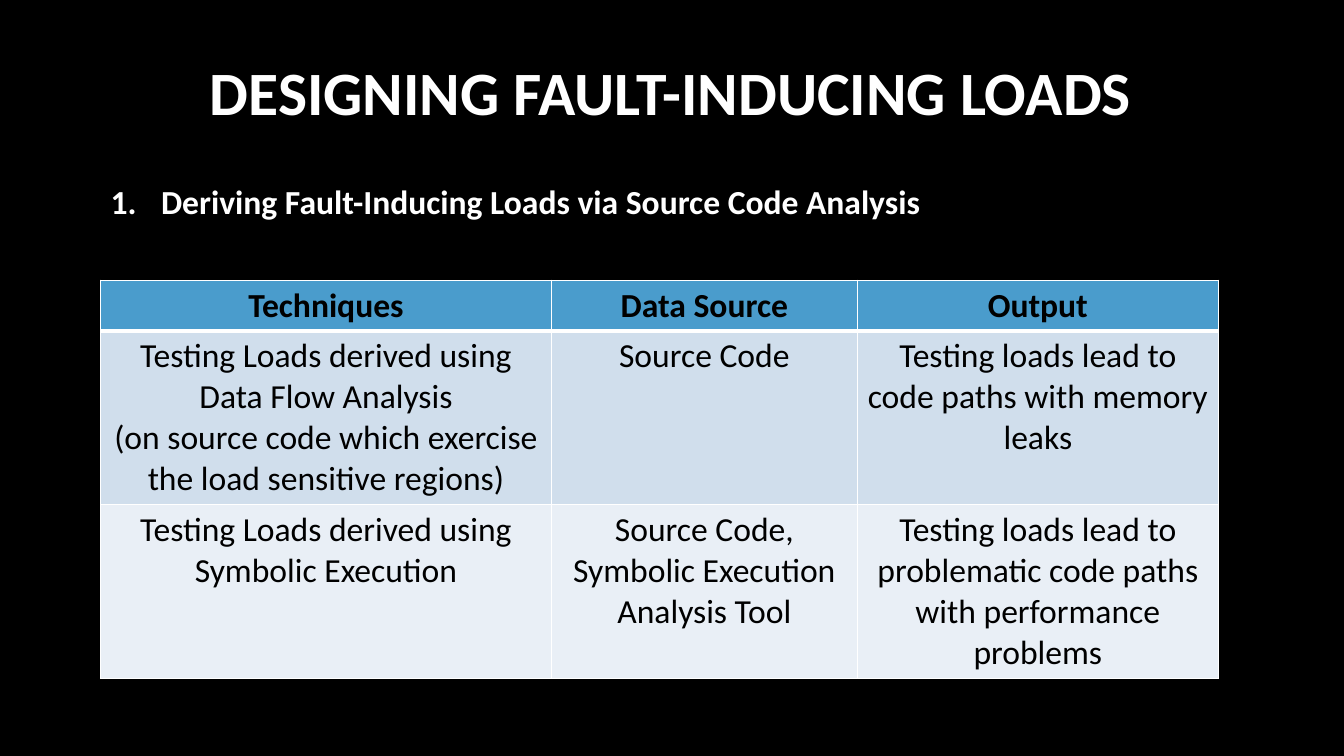
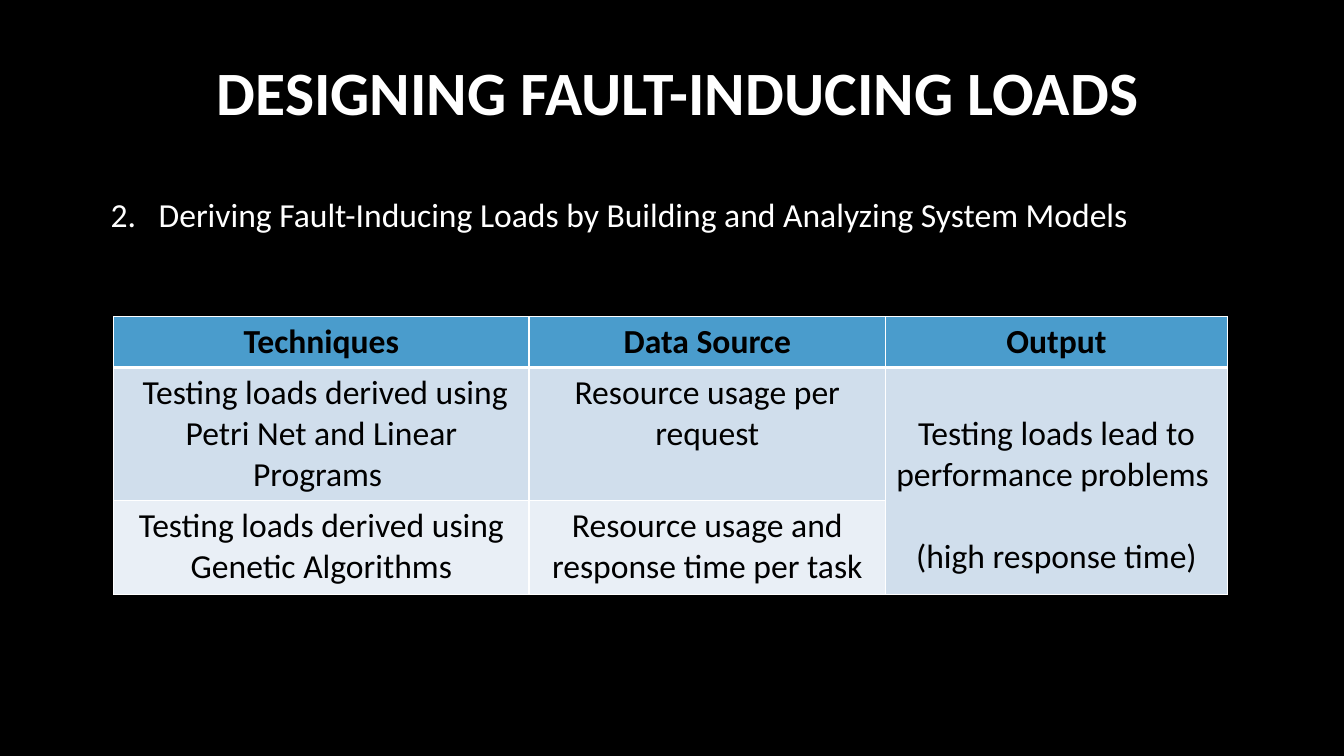
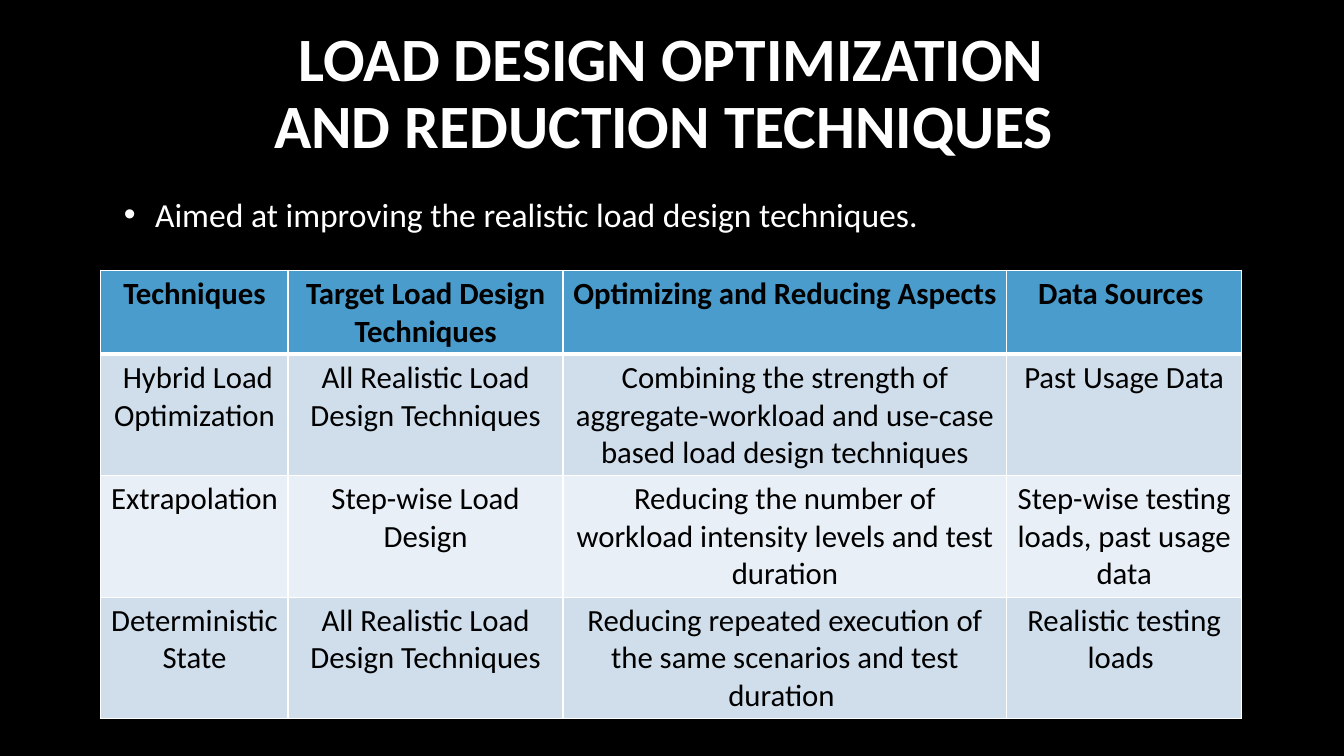
from lxml.etree import SubElement
from pptx import Presentation
from pptx.dml.color import RGBColor
from pptx.enum.text import MSO_ANCHOR, MSO_AUTO_SIZE, PP_ALIGN
from pptx.oxml.ns import qn
from pptx.util import Cm, Pt

HUES = {
    "back": "000000",
    "light": "FFFFFF",
    "dark": "000000",
    "head": "4A9CCC",
    "odd": "D0DEEC",
    "even": "E9EFF6",
}
FONT = "Calibri"


def hue(name):
    return RGBColor.from_string(HUES[name])


def write(para, text, size=24, color="light", bold=False, align=PP_ALIGN.LEFT,
          line=None, before=None):
    para.text = text
    para.alignment = align
    if line:
        para.line_spacing = line
    if before:
        para.space_before = Pt(before)
    for run in para.runs:
        font = run.font
        font.name, font.size, font.bold = FONT, Pt(size), bold
        font.color.rgb = hue(color)


def mark(para, indent, kind, **attrs):
    """Give the paragraph a hanging indent and a bullet or number."""
    props = para._p.get_or_add_pPr()
    props.set("marL", str(Cm(indent)))
    props.set("indent", str(-Cm(indent)))
    if kind == "buChar":
        SubElement(props, qn("a:buFont"), typeface="Arial")
    SubElement(props, qn("a:" + kind), **attrs)


def edge(cell, **widths):
    """Draw light cell borders; widths in points by side: L, R, T, B."""
    props = cell._tc.get_or_add_tcPr()
    for side, width in widths.items():
        line = SubElement(props, qn("a:ln" + side), w=str(Pt(width)))
        fill = SubElement(line, qn("a:solidFill"))
        SubElement(fill, qn("a:srgbClr"), val=HUES["light"])


class Deck:
    def __init__(self):
        self.prs = Presentation()
        self.prs.slide_width, self.prs.slide_height = Cm(33.87), Cm(19.05)
        fill = self.prs.slide_master.background.fill
        fill.solid()
        fill.fore_color.rgb = hue("back")
        self.slide = None

    def start(self, title):
        """Add a slide with its title."""
        self.slide = self.prs.slides.add_slide(self.prs.slide_layouts[5])
        shape = self.slide.shapes.title
        shape.left, shape.top = Cm(2.54), Cm(0.56)
        shape.width, shape.height = Cm(28.75), Cm(3.68)
        frame = shape.text_frame
        frame.word_wrap = True
        frame.auto_size = MSO_AUTO_SIZE.NONE
        frame.vertical_anchor = MSO_ANCHOR.MIDDLE
        write(frame.paragraphs[0], title, size=44, bold=True,
              align=PP_ALIGN.CENTER, line=0.9)

    def lead(self, text, left, top, width, indent, number=None, **style):
        """Add the numbered or bulleted line above the table."""
        box = self.slide.shapes.add_textbox(
            Cm(left), Cm(top), Cm(width), Cm(1.27))
        box.text_frame.word_wrap = True
        para = box.text_frame.paragraphs[0]
        write(para, text, **style)
        if number:
            mark(para, indent, "buAutoNum", type="arabicPeriod",
                 startAt=str(number))
        else:
            mark(para, indent, "buChar", char="•")

    def table(self, left, top, cols, rows, data, size=24):
        frame = self.slide.shapes.add_table(
            len(rows), len(cols), Cm(left), Cm(top),
            Cm(sum(cols)), Cm(sum(rows)))
        grid = frame.table
        grid.horz_banding = grid.first_row = False
        for col, width in zip(grid.columns, cols):
            col.width = Cm(width)
        for row, height in zip(grid.rows, rows):
            row.height = Cm(height)
        for r, texts in enumerate(data):
            for c, text in enumerate(texts):
                self.cell(grid.cell(r, c), r, text, size)
        return grid

    def cell(self, cell, row, text, size):
        edge(cell, L=1, R=1, T=3 if row == 1 else 1, B=1 if row else 3)
        cell.fill.solid()
        band = "odd" if row % 2 else "even"
        cell.fill.fore_color.rgb = hue(band if row else "head")
        frame = cell.text_frame
        for i, part in enumerate(text.split("\n")):
            para = frame.add_paragraph() if i else frame.paragraphs[0]
            write(para, part, size=size, color="dark", bold=row == 0,
                  align=PP_ALIGN.CENTER)


def source(deck):
    deck.start("DESIGNING FAULT-INDUCING LOADS")
    deck.lead("Deriving Fault-Inducing Loads via Source Code Analysis",
              2.54, 4.24, 29.26, 1.27, number=1, bold=True, line=1.2)
    deck.table(2.54, 7.06, [11.35, 7.72, 9.09], [1.28, 4.38, 4.38], [
        ["Techniques", "Data Source", "Output"],
        ["Testing Loads derived using Data Flow Analysis\n"
         "(on source code which exercise the load sensitive regions)",
         "Source Code",
         "Testing loads lead to code paths with memory leaks"],
        ["Testing Loads derived using Symbolic Execution",
         "Source Code, Symbolic Execution Analysis Tool",
         "Testing loads lead to problematic code paths with performance "
         "problems"],
    ])


def models(deck):
    deck.start(" DESIGNING FAULT-INDUCING LOADS")
    deck.lead("Deriving Fault-Inducing Loads by Building and Analyzing "
              "System Models", 2.54, 4.57, 29.26, 1.21, number=2, line=1.2)
    grid = deck.table(2.87, 7.98, [10.46, 8.99, 8.61], [1.28, 3.35, 2.37], [
        ["Techniques", "Data Source", "Output"],
        [" Testing loads derived using Petri Net and Linear Programs ",
         "Resource usage per request",
         "Testing loads lead to performance problems \n"
         "(high response time)"],
        ["Testing loads derived using Genetic Algorithms",
         "Resource usage and response time per task", ""],
    ])
    joint = grid.cell(1, 2)
    joint.merge(grid.cell(2, 2))
    joint.margin_top = Cm(1.16)
    joint.text_frame.paragraphs[1].space_before = Pt(29.3)


def reduce(deck):
    deck.start(" LOAD DESIGN OPTIMIZATION \nAND REDUCTION TECHNIQUES ")
    deck.lead("Aimed at improving the realistic load design techniques.",
              2.87, 4.75, 26.01, 0.79)
    deck.table(2.54, 6.81, [4.72, 6.93, 11.18, 5.92],
               [2.1, 3.06, 3.06, 3.06], [
        ["Techniques", "Target Load Design Techniques",
         "Optimizing and Reducing Aspects", "Data Sources "],
        [" Hybrid Load Optimization", "All Realistic Load Design Techniques",
         "Combining the strength of aggregate-workload and use-case based "
         "load design techniques", "Past Usage Data"],
        ["Extrapolation", "Step-wise Load Design",
         "Reducing the number of workload intensity levels and test duration",
         "Step-wise testing loads, past usage data"],
        ["Deterministic State", "All Realistic Load Design Techniques",
         "Reducing repeated execution of the same scenarios and test "
         "duration ", "Realistic testing loads "],
    ], size=22)


def main():
    deck = Deck()
    for build in (source, models, reduce):
        build(deck)
    deck.prs.save("out.pptx")


if __name__ == "__main__":
    main()
